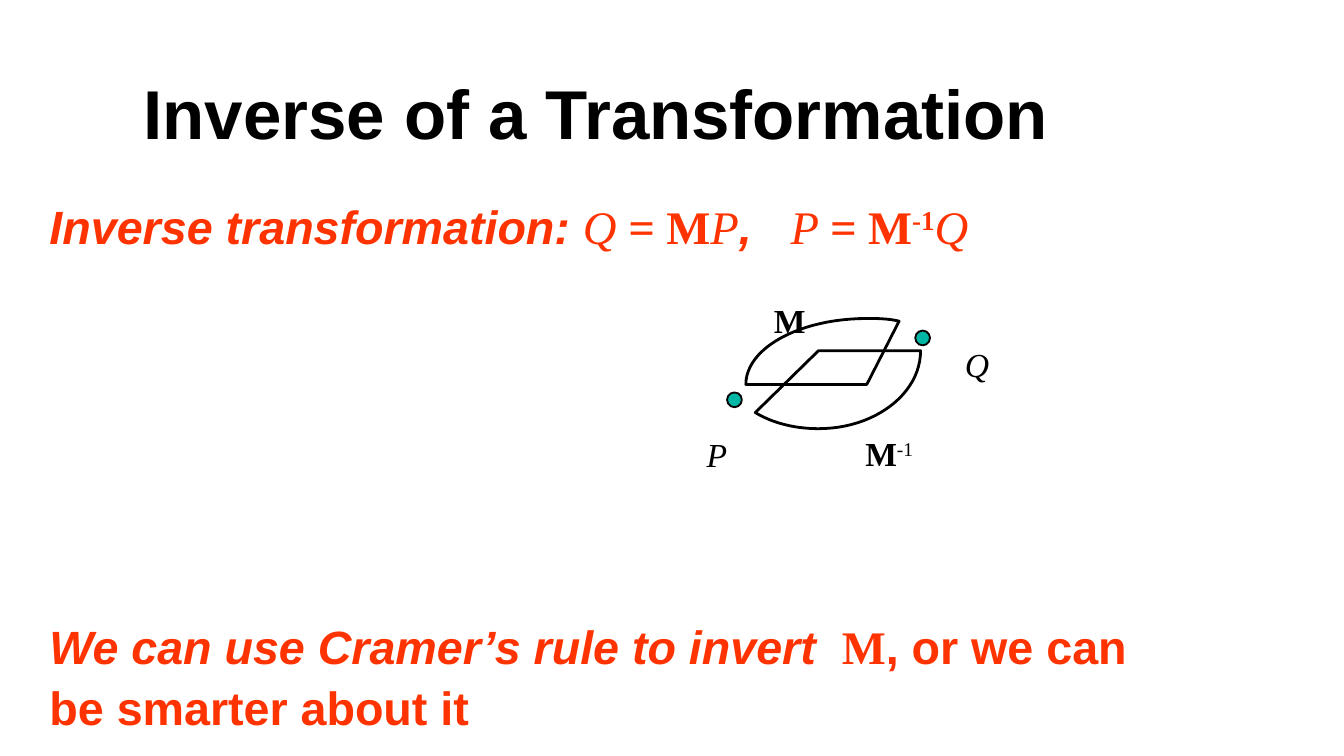
"""Build the slide on the inverse of a transformation."""
from pptx import Presentation
from pptx.dml.color import RGBColor
from pptx.enum.shapes import MSO_SHAPE as Shape
from pptx.enum.text import MSO_ANCHOR as Anchor, PP_ALIGN as Align
from pptx.util import Inches, Pt

BLACK, RED, TEAL = "000000", "FF3300", "00B7A5"
SANS, SERIF = "Arial", "Times New Roman"

TITLE = [("Inverse of a Transformation", SANS, "b")]
FORMULA = [
    ("Inverse transformation: ", SANS, "bi"),
    ("Q", SERIF, "i"), (" = ", SERIF, "bi"), ("M", SERIF, "b"), ("P", SERIF, "i"),
    (",   ", SANS, "bi"),
    ("P ", SERIF, "i"), ("= ", SERIF, "bi"), ("M", SERIF, "b"),
    ("-1", SERIF, "b^"), ("Q", SERIF, "i"),
]
REMARK = [
    ("We can use Cramer’s rule to invert  ", SANS, "bi"),
    ("M", SERIF, "b"),
    (", or we can be smarter about it", SANS, "b"),
]
LABELS = [
    ((5.16, 3.18, 0.66, 0.3), [("P", SERIF, "i")]),
    ((7.08, 2.51, 0.41, 0.3), [("Q", SERIF, "i")]),
    ((5.66, 2.18, 0.77, 0.3), [("M", SERIF, "b")]),
    ((6.34, 3.17, 0.77, 0.3), [("M", SERIF, "b"), ("-1", SERIF, "^")]),
]
POINTS = [(5.41, 2.92), (6.81, 2.46)]
POINT_SIZE = 0.11
SECTORS = [
    {"corner": (6.09, 2.61), "curves": [
        [(5.62, 3.07), (5.75, 3.15), (5.92, 3.19), (6.09, 3.19)],
        [(6.09, 3.19), (6.51, 3.19), (6.85, 2.93), (6.85, 2.61)]]},
    {"corner": (6.45, 2.86), "curves": [
        [(6.69, 2.39), (6.61, 2.37), (6.53, 2.37), (6.45, 2.37)],
        [(6.45, 2.37), (5.95, 2.37), (5.55, 2.59), (5.55, 2.86)]]},
]
CURVE_STEPS = 24


def color(value):
    return RGBColor.from_string(value)


def add_text(page, place, paragraphs, size, ink, spacing=1.0, gap=0,
             align=Align.LEFT, anchor=Anchor.TOP):
    box = page.shapes.add_textbox(*map(Inches, place))
    frame = box.text_frame
    frame.word_wrap = True
    frame.vertical_anchor = anchor
    for index, spans in enumerate(paragraphs):
        para = frame.add_paragraph() if index else frame.paragraphs[0]
        para.alignment = align
        para.line_spacing = spacing
        para.space_before = Pt(gap if index else 0)
        for text, face, style in spans:
            span = para.add_run()
            span.text = text
            font = span.font
            font.name, font.size = face, Pt(size)
            font.bold, font.italic = "b" in style, "i" in style
            font.color.rgb = color(ink)
            if "^" in style:
                span._r.get_or_add_rPr().set("baseline", "30000")


def outline(shape, width):
    shape.shadow.inherit = False
    shape.line.color.rgb = color(BLACK)
    shape.line.width = Pt(width)


def add_point(page, left, top):
    point = page.shapes.add_shape(
        Shape.OVAL, *map(Inches, (left, top, POINT_SIZE, POINT_SIZE)))
    point.fill.solid()
    point.fill.fore_color.rgb = color(TEAL)
    outline(point, 1)


def bezier(curve, t):
    weights = ((1 - t) ** 3, 3 * t * (1 - t) ** 2, 3 * t ** 2 * (1 - t), t ** 3)
    return tuple(Inches(sum(w * v for w, v in zip(weights, axis)))
                 for axis in zip(*curve))


def add_sector(page, corner, curves):
    start = tuple(map(Inches, corner))
    arc = [bezier(curve, step / CURVE_STEPS)
           for curve in curves for step in range(CURVE_STEPS + 1)]
    builder = page.shapes.build_freeform(*start)
    builder.add_line_segments(arc, close=True)
    sector = builder.convert_to_shape()
    sector.fill.background()
    outline(sector, 1.5)


def main():
    deck = Presentation()
    deck.slide_width = Inches(10)
    deck.slide_height = deck.slide_width * 9 // 16
    page = deck.slides.add_slide(deck.slide_layouts[6])
    add_text(page, (0.28, 0.25, 8.31, 0.94), [TITLE], 37, BLACK, spacing=1.04,
             align=Align.CENTER, anchor=Anchor.BOTTOM)
    add_text(page, (0.27, 1.38, 8.23, 4), [FORMULA, REMARK], 25, RED,
             spacing=1.1, gap=192)
    for left, top in POINTS:
        add_point(page, left, top)
    for sector in SECTORS:
        add_sector(page, **sector)
    for place, spans in LABELS:
        add_text(page, place, [spans], 18, BLACK)
    deck.save("out.pptx")


if __name__ == "__main__":
    main()
